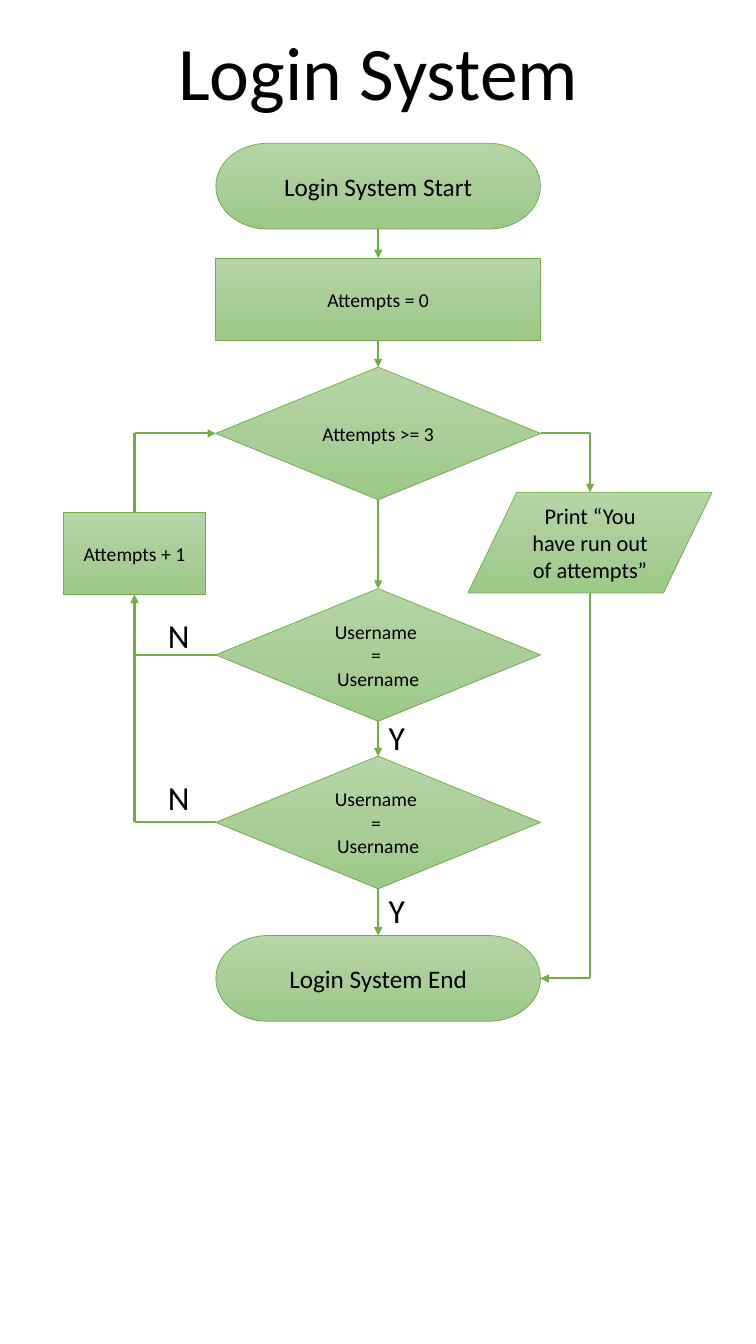
from copy import deepcopy
from dataclasses import dataclass

from lxml import etree
from pptx import Presentation
from pptx.dml.color import RGBColor
from pptx.enum.shapes import MSO_CONNECTOR, MSO_SHAPE
from pptx.enum.text import MSO_ANCHOR, MSO_AUTO_SIZE, PP_ALIGN
from pptx.oxml.ns import qn
from pptx.shapes.autoshape import Shape
from pptx.shapes.connector import Connector
from pptx.slide import Slide
from pptx.util import Cm, Pt

COLOURS = {
    "text": "000000",
    "line": "70AD47",
    "top": "B5D5A7",
    "middle": "AACE9A",
    "bottom": "9CC987",
}
FONT = "Calibri"

# Centres of the three columns and shared sizes, in centimetres
LOOP_X, MAIN_X, EXIT_X = 3.39, 9.53, 14.87
MAIN_W = 8.18
TERMINAL_H, PROCESS_H, DECISION_H = 2.16, 2.08, 3.34
TOP_SITE, BOTTOM_SITE = 0, 2


@dataclass(frozen=True)
class Step:
    """A flowchart symbol, placed by its centre line and top edge in cm."""
    text: str
    kind: MSO_SHAPE
    centre: float
    top: float
    width: float
    height: float
    size: int

    @property
    def left(self) -> float:
        return self.centre - self.width / 2

    @property
    def right(self) -> float:
        return self.centre + self.width / 2

    @property
    def middle(self) -> float:
        return self.top + self.height / 2

    @property
    def bottom(self) -> float:
        return self.top + self.height


@dataclass(frozen=True)
class Label:
    """A branch letter, placed in cm."""
    text: str
    left: float
    top: float
    width: float


def terminal(text: str, top: float) -> Step:
    """Describe a start or end symbol in the main column."""
    return Step(text, MSO_SHAPE.FLOWCHART_TERMINATOR, MAIN_X, top, MAIN_W, TERMINAL_H, 18)


def process(text: str, centre: float, top: float, width: float) -> Step:
    """Describe a process box."""
    return Step(text, MSO_SHAPE.FLOWCHART_PROCESS, centre, top, width, PROCESS_H, 14)


def decision(text: str, top: float) -> Step:
    """Describe a decision diamond in the main column."""
    return Step(text, MSO_SHAPE.FLOWCHART_DECISION, MAIN_X, top, MAIN_W, DECISION_H, 14)


def rgb(name: str) -> RGBColor:
    """Look up a colour by its role."""
    return RGBColor.from_string(COLOURS[name])


def write(shape: Shape, text: str, size: int) -> None:
    """Fill a shape with centred text, one paragraph a line."""
    frame = shape.text_frame
    frame.text = text
    for paragraph in frame.paragraphs:
        paragraph.alignment = PP_ALIGN.CENTER
        font = paragraph.runs[0].font
        font.name, font.size = FONT, Pt(size)
        font.color.rgb = rgb("text")


def shade(shape: Shape) -> None:
    """Give a shape the three-stop vertical gradient."""
    shape.fill.gradient()
    shape.fill.gradient_angle = 270
    stops = shape._element.spPr.find(qn("a:gradFill")).find(qn("a:gsLst"))
    stops.insert(1, deepcopy(stops[0]))
    for stop, position, name in zip(
        shape.fill.gradient_stops, (0, 0.5, 1), ("top", "middle", "bottom")
    ):
        stop.position = position
        stop.color.rgb = rgb(name)


def draw_step(slide: Slide, step: Step) -> Shape:
    """Draw one flowchart symbol."""
    shape = slide.shapes.add_shape(
        step.kind, Cm(step.left), Cm(step.top), Cm(step.width), Cm(step.height)
    )
    shape.shadow.inherit = False
    shade(shape)
    shape.line.color.rgb = rgb("line")
    shape.line.width = Pt(0.5)
    shape.text_frame.vertical_anchor = MSO_ANCHOR.MIDDLE
    write(shape, step.text, step.size)
    return shape


def draw_line(slide: Slide, start: tuple[float, float], end: tuple[float, float],
              arrow: bool = False) -> Connector:
    """Draw a straight connector, with an arrowhead at its end if asked."""
    line = slide.shapes.add_connector(MSO_CONNECTOR.STRAIGHT, *map(Cm, start + end))
    line.line.color.rgb = rgb("line")
    line.line.width = Pt(1.5)
    properties = line._element.spPr
    if arrow:
        etree.SubElement(properties.find(qn("a:ln")), qn("a:tailEnd"), type="triangle")
    etree.SubElement(properties, qn("a:effectLst"))
    return line


def draw_path(slide: Slide, *points: tuple[float, float], arrow: bool = True) -> None:
    """Draw a bent route whose last leg may carry the arrowhead."""
    legs = list(zip(points, points[1:]))
    for number, (start, end) in enumerate(legs, 1):
        draw_line(slide, start, end, arrow and number == len(legs))


def draw_label(slide: Slide, label: Label) -> None:
    """Draw a branch letter."""
    box = slide.shapes.add_textbox(Cm(label.left), Cm(label.top), Cm(label.width), Cm(1.28))
    box.text_frame.word_wrap = False
    write(box, label.text, 24)


def draw_title(slide: Slide, text: str) -> None:
    """Place and format the title placeholder."""
    title = slide.shapes.title
    title.left, title.top, title.width, title.height = map(Cm, (4.18, 0.51, 10.7, 2.56))
    frame = title.text_frame
    frame.word_wrap = False
    frame.auto_size = MSO_AUTO_SIZE.NONE
    frame.vertical_anchor = MSO_ANCHOR.TOP
    write(title, text, 54)


start = terminal("Login System Start", 3.61)
reset = process("Attempts = 0", MAIN_X, 6.5, MAIN_W)
limit = decision("Attempts >= 3", 9.25)
checks = [decision("Username \n= \nUsername", top) for top in (14.83, 19.05)]
end = terminal("Login System End", 23.57)
main_steps = [start, reset, limit, *checks, end]
count = process("Attempts + 1", LOOP_X, 12.9, 3.58)
message = Step("Print “You have run out of attempts”", MSO_SHAPE.FLOWCHART_DATA,
               EXIT_X, 12.4, 6.15, 2.54, 16)
labels = [
    Label("N", 3.78, 15.37, 1.45),
    Label("N", 3.78, 19.46, 1.45),
    Label("Y", 9.53, 17.93, 0.94),
    Label("Y", 9.53, 22.3, 0.94),
]

presentation = Presentation()
presentation.slide_width, presentation.slide_height = Cm(19.05), Cm(33.86)
slide = presentation.slides.add_slide(presentation.slide_layouts[5])
draw_title(slide, "Login System")

main_shapes = [draw_step(slide, step) for step in main_steps]
for side_step in (count, message):
    draw_step(slide, side_step)

for i, (upper, lower) in enumerate(zip(main_steps, main_steps[1:])):
    arrow = draw_line(slide, (MAIN_X, upper.bottom), (MAIN_X, lower.top), arrow=True)
    arrow.begin_connect(main_shapes[i], BOTTOM_SITE)
    arrow.end_connect(main_shapes[i + 1], TOP_SITE)

first, second = checks
draw_path(slide, (first.left, first.middle), (LOOP_X, first.middle), (LOOP_X, count.bottom))
draw_path(slide, (second.left, second.middle), (LOOP_X, second.middle),
          (LOOP_X, first.middle), arrow=False)
draw_path(slide, (LOOP_X, count.top), (LOOP_X, limit.middle), (limit.left, limit.middle))
draw_path(slide, (limit.right, limit.middle), (EXIT_X, limit.middle), (EXIT_X, message.top))
draw_path(slide, (EXIT_X, message.bottom), (EXIT_X, end.middle), (end.right, end.middle))

for label in labels:
    draw_label(slide, label)

presentation.save("out.pptx")
